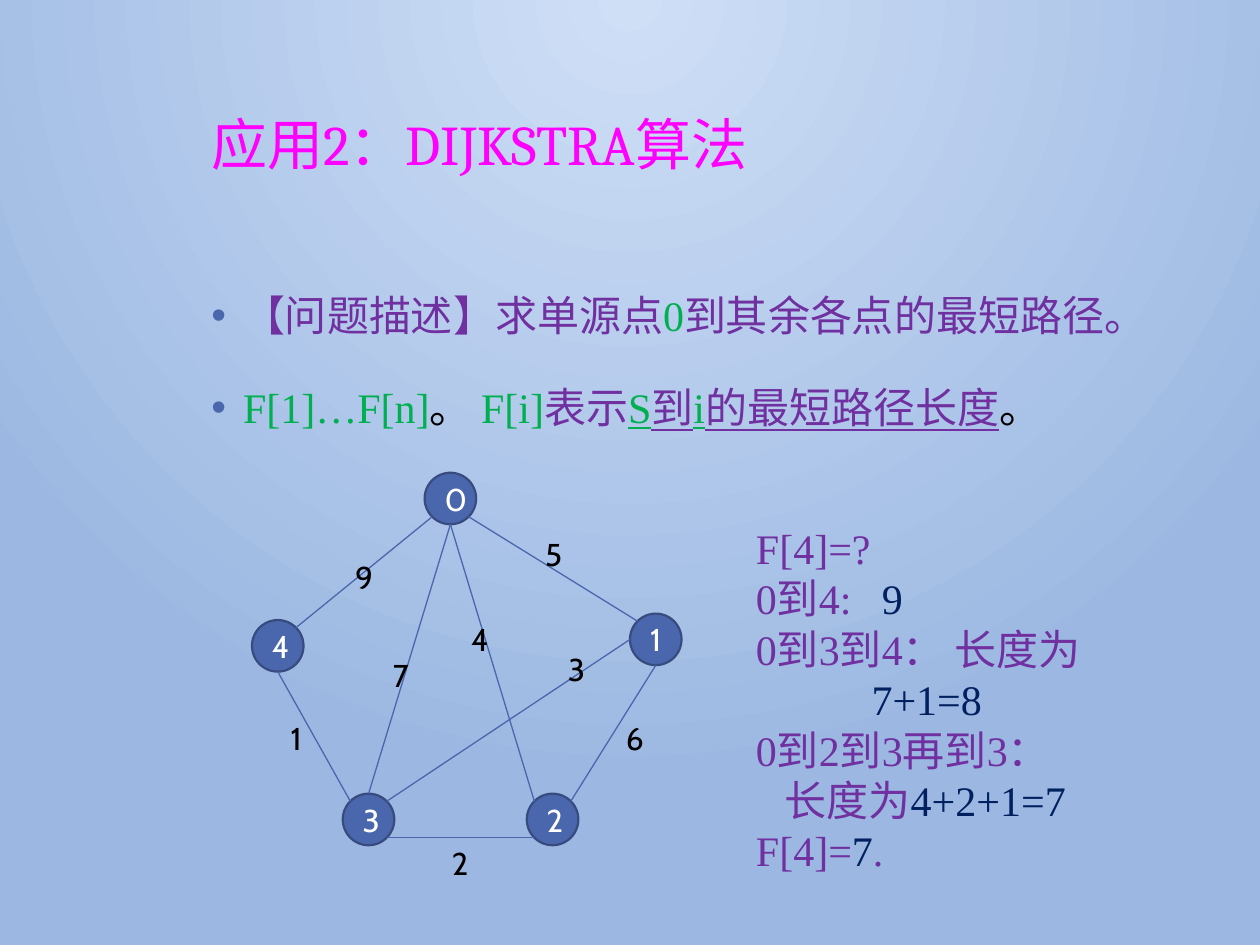
from math import cos, pi, sin

from lxml.etree import SubElement
from pptx import Presentation
from pptx.dml.color import RGBColor
from pptx.enum.shapes import MSO_CONNECTOR, MSO_SHAPE
from pptx.enum.text import MSO_ANCHOR, MSO_AUTO_SIZE, PP_ALIGN
from pptx.oxml.ns import qn
from pptx.util import Cm, Pt

COLORS = {
    "glow": "CFDFF6", "sky": "9CB8E2", "title": "FF00FF", "text": "7030A0",
    "term": "00B050", "value": "002060", "node": "4A66AC", "rim": "374B7F",
    "black": "000000", "white": "FFFFFF",
}
TITLE = {"name": "Cambria", "size": Pt(32)}
BODY = {"name": "Times New Roman", "size": Pt(24)}
LABEL = {"name": "Cabin", "size": Pt(18)}

NODE_SIZE = 1.04
NODES = {"0": (8.56, 9.53), "4": (5.08, 12.5), "3": (6.91, 16),
         "2": (10.62, 16), "1": (12.7, 12.37)}

# Connection sites of an ellipse run counter-clockwise from the top
TOP, TOP_LEFT, LEFT, BOTTOM_LEFT, BOTTOM, BOTTOM_RIGHT, RIGHT, TOP_RIGHT = range(8)

# (node, site), (node, site), weight, left and top of the weight
EDGES = [
    (("0", BOTTOM_LEFT), ("4", TOP_RIGHT), "9", (6.91, 11.13)),
    (("3", TOP_LEFT), ("4", BOTTOM), "1", (5.61, 14.38)),
    (("1", TOP_LEFT), ("0", BOTTOM_RIGHT), "5", (10.74, 10.67)),
    (("2", BOTTOM_LEFT), ("3", BOTTOM_RIGHT), "2", (8.86, 16.89)),
    (("1", BOTTOM), ("2", TOP_RIGHT), "6", (12.37, 14.38)),
    (("2", TOP_LEFT), ("0", BOTTOM), "4", (9.25, 12.37)),
    (("3", TOP), ("0", BOTTOM), "7", (7.67, 13.11)),
    (("1", LEFT), ("3", TOP_RIGHT), "3", (11.2, 12.98)),
]

# Each run is text, colour and, where underlined, True
BULLETS = [
    [("【问题描述】求单源点", "text"), ("0", "term"),
     ("到其余各点的最短路径。", "text")],
    [("F[1]…F[n]", "term"), ("。 ", "black"), ("F[i]", "term"),
     ("表示", "text"), ("S", "term", True), ("到", "text", True),
     ("i", "term", True), ("的最短路径长度", "text", True), ("。", "black")],
]

# Indent in cm and runs
STEPS = [
    (0, [("F[4]=?", "text")]),
    (0, [("0到4:\t", "text"), ("9", "value")]),
    (0, [("0到3到4： 长度为", "text")]),
    (2.33, [("7+1=8", "value")]),
    (0, [("0到2到3再到3：", "text")]),
    (0.58, [("长度为", "text"), ("4+2+1=7", "value")]),
    (0, [("F[4]=", "text"), ("7", "value"), (".", "text")]),
]


def rgb(key):
    return RGBColor.from_string(COLORS[key])


def set_background(s):
    """Radial gradient that spreads from the middle of the top edge."""
    fill = s.background.fill
    fill.gradient()
    for stop, (pos, key) in zip(fill.gradient_stops, [(0, "glow"), (1, "sky")]):
        stop.position = pos
        stop.color.rgb = rgb(key)
    grad = s.element.find(".//" + qn("a:gradFill"))
    grad.remove(grad.find(qn("a:lin")))
    circle = SubElement(grad, qn("a:path"), {"path": "circle"})
    SubElement(circle, qn("a:fillToRect"),
               {"l": "43000", "t": "0", "r": "43000", "b": "100000"})


def add_runs(p, runs, style):
    for text, color, *underline in runs:
        r = p.add_run()
        r.text = text
        for name, value in style.items():
            setattr(r.font, name, value)
        r.font.color.rgb = rgb(color)
        if underline:
            r.font.underline = True


def add_box(s, box, paragraphs, style, wrap=True, grow=False):
    sp = s.shapes.add_textbox(*map(Cm, box))
    tf = sp.text_frame
    tf.word_wrap = wrap
    tf.auto_size = MSO_AUTO_SIZE.SHAPE_TO_FIT_TEXT if grow else MSO_AUTO_SIZE.NONE
    for i, runs in enumerate(paragraphs):
        p = tf.paragraphs[0] if i == 0 else tf.add_paragraph()
        add_runs(p, runs, style)
    return tf.paragraphs


def set_indent(p, left, first=0):
    pPr = p._p.get_or_add_pPr()
    pPr.set("marL", str(Cm(left)))
    pPr.set("indent", str(Cm(first)))
    return pPr


def add_bullets(s):
    paragraphs = add_box(s, (4.01, 5.51, 19.35, 3.58), BULLETS, BODY)
    for i, p in enumerate(paragraphs):
        p.line_spacing = 1.2
        if i:
            p.space_before = Pt(18)
        pPr = set_indent(p, 0.64, -0.64)
        color = SubElement(pPr, qn("a:buClr"))
        SubElement(color, qn("a:srgbClr"), {"val": COLORS["node"]})
        SubElement(pPr, qn("a:buFont"), {"typeface": "Arial"})
        SubElement(pPr, qn("a:buChar"), {"char": "•"})


def add_steps(s):
    paragraphs = add_box(s, (14.99, 10.41, 8.79, 7.44),
                         [runs for _, runs in STEPS], BODY, grow=True)
    for p, (indent, runs) in zip(paragraphs, STEPS):
        pPr = set_indent(p, indent)
        if any("\t" in text for text, _ in runs):
            tabs = SubElement(pPr, qn("a:tabLst"))
            SubElement(tabs, qn("a:tab"), {"pos": str(Cm(2.97)), "algn": "l"})


def add_node(s, number):
    sp = s.shapes.add_shape(MSO_SHAPE.OVAL, *map(Cm, NODES[number]),
                            Cm(NODE_SIZE), Cm(NODE_SIZE))
    sp.shadow.inherit = False
    sp.fill.solid()
    sp.fill.fore_color.rgb = rgb("node")
    sp.line.color.rgb = rgb("rim")
    sp.line.width = Pt(1.25)
    sp.text_frame.vertical_anchor = MSO_ANCHOR.MIDDLE
    p = sp.text_frame.paragraphs[0]
    p.alignment = PP_ALIGN.CENTER
    add_runs(p, [(number, "white")], LABEL)
    return sp


def site_point(number, site):
    left, top = NODES[number]
    radius, angle = NODE_SIZE / 2, site * pi / 4
    return (Cm(left + radius * (1 - sin(angle))),
            Cm(top + radius * (1 - cos(angle))))


def add_edge(s, shapes, start, end):
    """Line between two sites, glued to both nodes."""
    line = s.shapes.add_connector(MSO_CONNECTOR.STRAIGHT,
                                  *site_point(*start), *site_point(*end))
    line.line.color.rgb = rgb("node")
    line.line.width = Pt(0.75)
    SubElement(line._element.spPr, qn("a:effectLst"))
    glue = line._element.find(".//" + qn("p:cNvCxnSpPr"))
    for tag, (number, site) in (("a:stCxn", start), ("a:endCxn", end)):
        SubElement(glue, qn(tag), {"id": str(shapes[number].shape_id),
                                   "idx": str(site)})


def add_graph(s):
    shapes = {number: add_node(s, number) for number in NODES}
    for start, end, weight, place in EDGES:
        add_edge(s, shapes, start, end)
        add_box(s, (*place, 0.84, 1.02), [[(weight, "black")]], LABEL,
                wrap=False, grow=True)


def main():
    prs = Presentation()
    prs.slide_width, prs.slide_height = Cm(25.4), Cm(19.05)
    s = prs.slides.add_slide(prs.slide_layouts[6])
    set_background(s)
    title = add_box(s, (4.01, 2.24, 18.26, 2.92),
                    [[("应用2：DIJKSTRA算法", "title")]], TITLE)
    title[0].line_spacing = 0.9
    add_bullets(s)
    add_graph(s)
    add_steps(s)
    prs.save("out.pptx")


if __name__ == "__main__":
    main()
